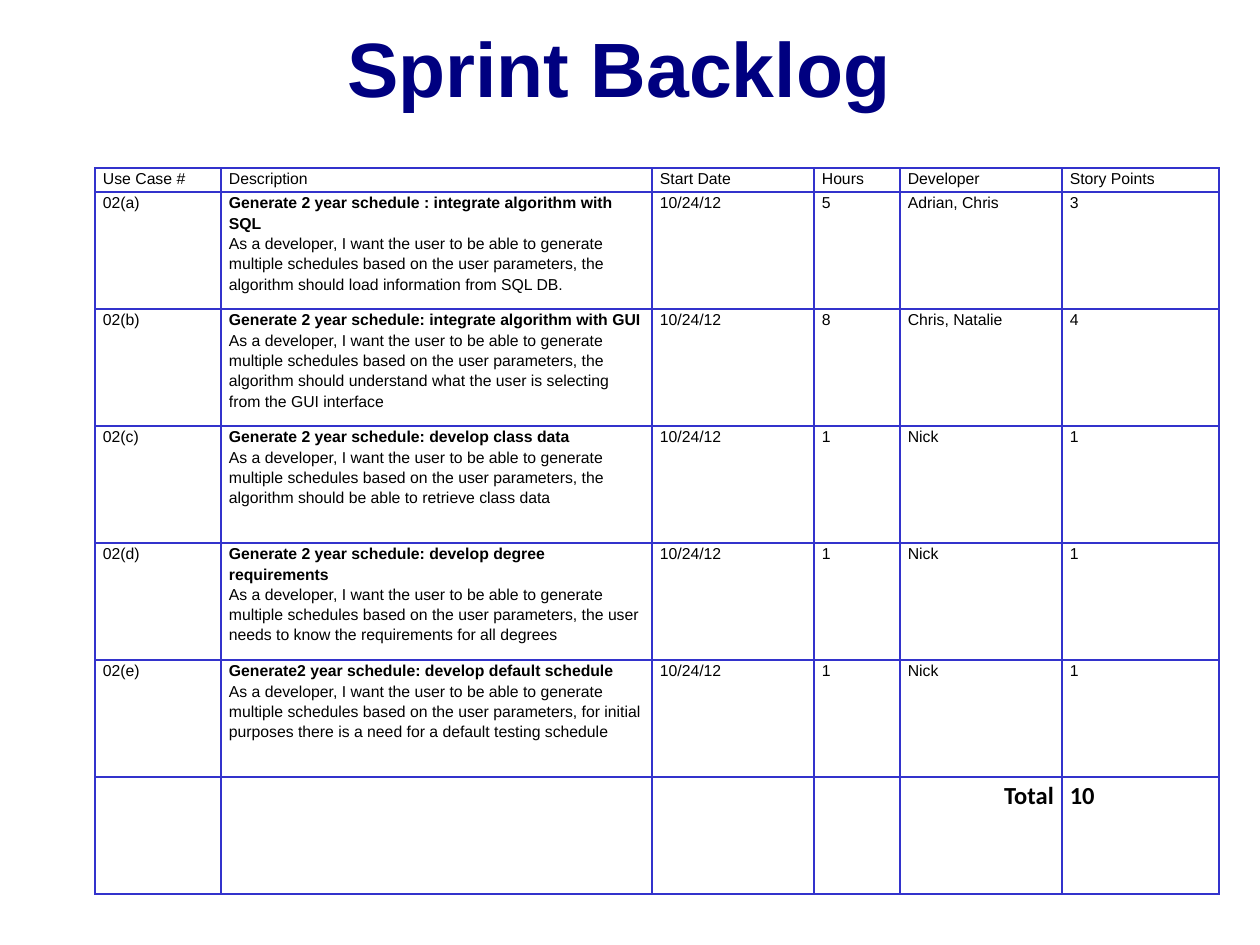
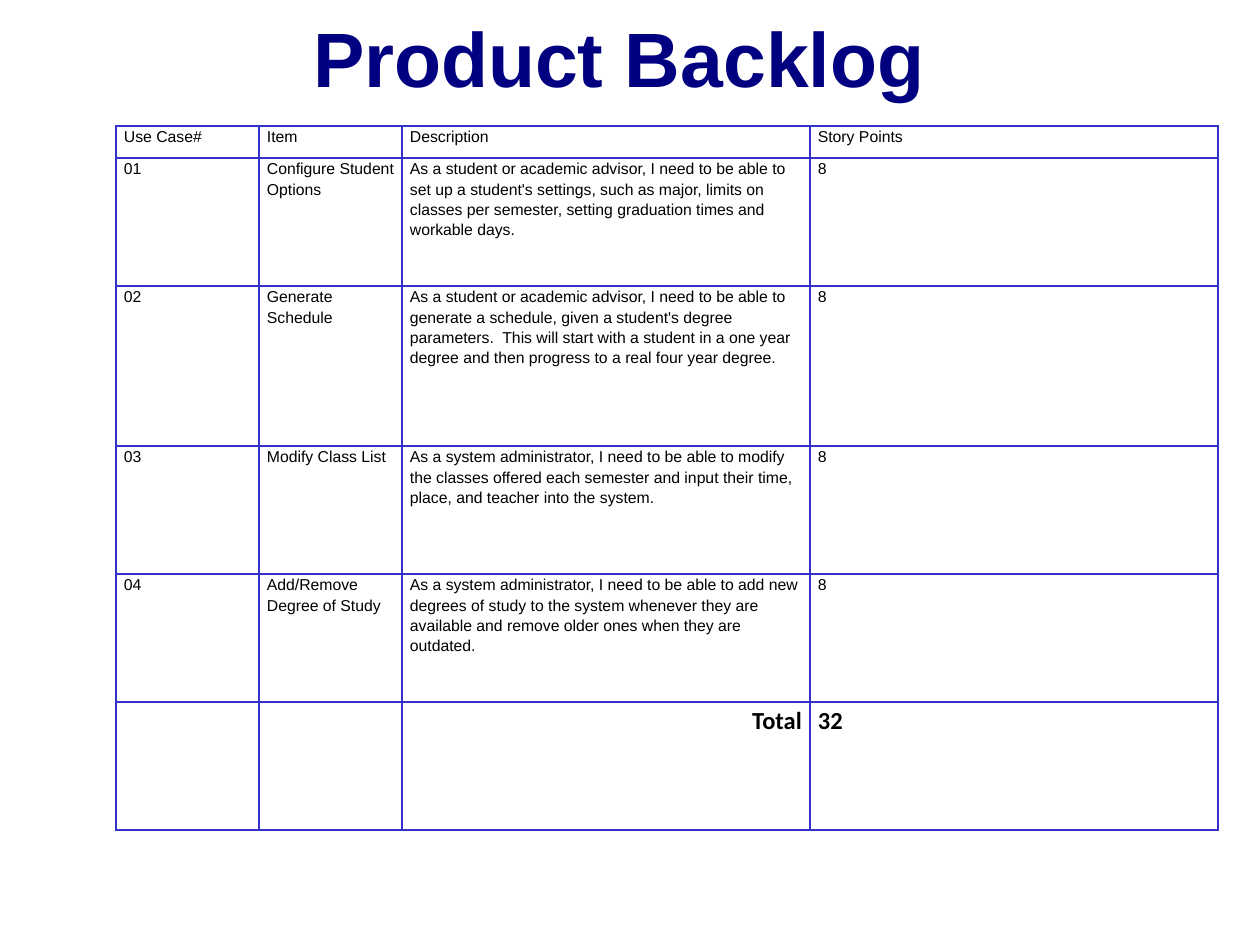
"""Builds the sprint backlog and product backlog slides."""
from lxml import etree
from pptx import Presentation
from pptx.dml.color import RGBColor
from pptx.enum.text import MSO_ANCHOR, MSO_AUTO_SIZE, PP_ALIGN
from pptx.oxml.ns import qn
from pptx.util import Pt

PX = 914400 // 126
MIDDLE = MSO_ANCHOR.MIDDLE
NO_FIT = MSO_AUTO_SIZE.NONE
CENTER, LEFT, RIGHT = PP_ALIGN.CENTER, PP_ALIGN.LEFT, PP_ALIGN.RIGHT
TITLE_ONLY = 5

COLORS = {"title": "000080", "text": "000000", "grid": "3333CC"}
FONTS = {
    "title": {"name": "Arial", "size": Pt(44), "bold": True},
    "text": {"name": "Arial", "size": Pt(9), "bold": False},
    "lead": {"name": "Arial", "size": Pt(9), "bold": True},
    "total": {"name": "Calibri", "size": Pt(14), "bold": True},
}
PLAIN = {"first_row": False, "horz_banding": False}
INSETS = {"margin_left": 8 * PX, "margin_right": 8 * PX,
          "margin_top": 0, "margin_bottom": 0}

WISH = ("As a developer, I want the user to be able to generate multiple "
        "schedules based on the user parameters, ")
ADVISOR = "As a student or academic advisor, I need to be able to "
ADMIN = "As a system administrator, I need to be able to "
DAY = "10/24/12"

SPRINT = [
    ["Use Case #", "Description", "Start Date", "Hours", "Developer",
     "Story Points"],
    ["02(a)",
     ("Generate 2 year schedule : integrate algorithm with SQL",
      WISH + "the algorithm should load information from SQL DB."),
     DAY, "5", "Adrian, Chris", "3"],
    ["02(b)",
     ("Generate 2 year schedule: integrate algorithm with GUI",
      WISH + "the algorithm should understand what the user is selecting "
      "from the GUI interface"),
     DAY, "8", "Chris, Natalie", "4"],
    ["02(c)",
     ("Generate 2 year schedule: develop class data",
      WISH + "the algorithm should be able to retrieve class data"),
     DAY, "1", "Nick", "1"],
    ["02(d)",
     ("Generate 2 year schedule: develop degree requirements",
      WISH + "the user needs to know the requirements for all degrees"),
     DAY, "1", "Nick", "1"],
    ["02(e)",
     ("Generate2 year schedule: develop default schedule",
      WISH + "for initial purposes there is a need for a default testing "
      "schedule"),
     DAY, "1", "Nick", "1"],
    ["", "", "", "", "Total", "10"],
]

PRODUCT = [
    ["Use Case#", "Item", "Description", "Story Points"],
    ["01", "Configure Student Options",
     ADVISOR + "set up a student's settings, such as major, limits on "
     "classes per semester, setting graduation times and workable days.",
     "8"],
    ["02", "Generate Schedule",
     ADVISOR + "generate a schedule, given a student's degree parameters.  "
     "This will start with a student in a one year degree and then progress "
     "to a real four year degree.", "8"],
    ["03", "Modify Class List",
     ADMIN + "modify the classes offered each semester and input their time, "
     "place, and teacher into the system.", "8"],
    ["04", "Add/Remove Degree of Study",
     ADMIN + "add new degrees of study to the system whenever they are "
     "available and remove older ones when they are outdated.", "8"],
    ["", "", "Total", "32"],
]


def assign(target, values):
    """Set each attribute named in a dict."""
    for name, value in values.items():
        setattr(target, name, value)


def write(para, text, style, color, align):
    """Put one formatted run into a paragraph."""
    run = para.add_run()
    run.text = text
    assign(run.font, FONTS[style])
    run.font.color.rgb = RGBColor.from_string(COLORS[color])
    para.alignment = align


def add_title(slide, text, top):
    """Place and fill the title placeholder."""
    title = slide.shapes.title
    assign(title, {"left": 63 * PX, "top": top * PX,
                   "width": 1134 * PX, "height": 106 * PX})
    frame = title.text_frame
    assign(frame, {"vertical_anchor": MIDDLE, "auto_size": NO_FIT})
    write(frame.paragraphs[0], text, "title", "title", CENTER)


def add_grid(cell):
    """Draw a one-point line on all four sides of a cell."""
    props = cell._tc.get_or_add_tcPr()
    for spot, side in enumerate(("lnL", "lnR", "lnT", "lnB")):
        line = etree.Element(qn("a:" + side), w=str(Pt(1)))
        fill = etree.SubElement(line, qn("a:solidFill"))
        etree.SubElement(fill, qn("a:srgbClr"), val=COLORS["grid"])
        props.insert(spot, line)


def fill_cell(cell, entry, total):
    """Format a cell; a pair is a bold lead above plain text."""
    assign(cell, INSETS)
    cell.fill.background()
    add_grid(cell)
    if not entry:
        return
    pair = isinstance(entry, tuple)
    frame = cell.text_frame
    for spot, text in enumerate(entry if pair else [entry]):
        para = frame.add_paragraph() if spot else frame.paragraphs[0]
        para.line_spacing = 1.15
        style = "total" if total else "lead" if pair and not spot else "text"
        write(para, text, style, "text", RIGHT if text == "Total" else LEFT)


def add_grid_table(slide, left, top, widths, heights, data):
    """Add a ruled table whose last row holds the total."""
    table = slide.shapes.add_table(
        len(heights), len(widths), left * PX, top * PX,
        sum(widths) * PX, sum(heights) * PX).table
    assign(table, PLAIN)
    for column, width in zip(table.columns, widths):
        column.width = width * PX
    for row, height, entries in zip(table.rows, heights, data):
        row.height = height * PX
        for cell, entry in zip(row.cells, entries):
            fill_cell(cell, entry, entries is data[-1])


def main():
    """Build both slides and save them."""
    deck = Presentation()
    assign(deck, {"slide_width": 1260 * PX, "slide_height": 945 * PX})
    pages = [
        ("Sprint Backlog ", 14, 95, 168, [126, 431, 162, 86, 162, 157],
         [24] + [117] * 6, SPRINT),
        ("Product Backlog ", 4, 116, 126, [143, 143, 408, 408],
         [32, 128, 160, 128, 128, 128], PRODUCT),
    ]
    for text, head, left, top, widths, heights, data in pages:
        slide = deck.slides.add_slide(deck.slide_layouts[TITLE_ONLY])
        add_title(slide, text, head)
        add_grid_table(slide, left, top, widths, heights, data)
    deck.save("out.pptx")


main()
